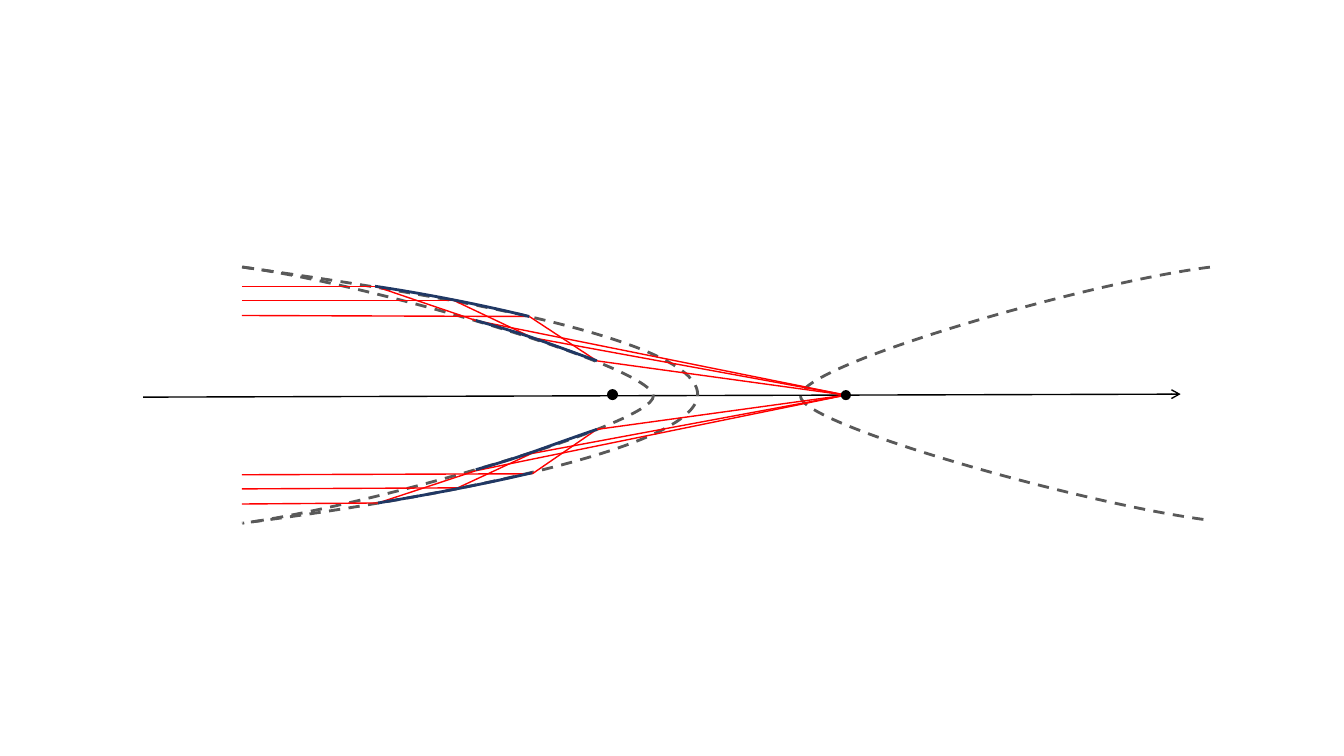
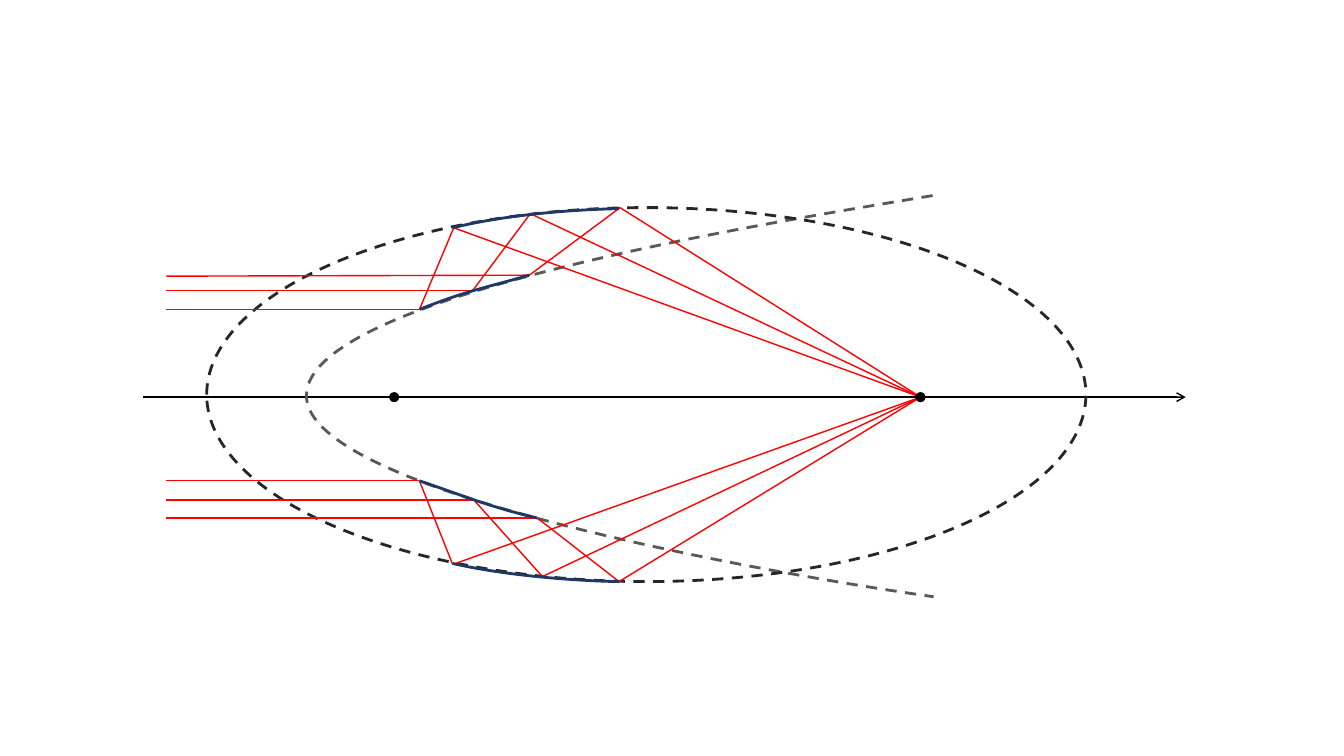
from pptx import Presentation
from pptx.dml.color import RGBColor
from pptx.enum.dml import MSO_LINE
from pptx.enum.shapes import MSO_CONNECTOR, MSO_SHAPE
from pptx.oxml.ns import qn
from pptx.util import Emu, Pt
from lxml.etree import SubElement

PX = 9144
COLORS = {"axis": "000000", "dot": "000000", "conic": "595959",
          "ellipse": "262626", "ray": "FF0000", "mirror": "203864"}
LINES = {
    "axis": {"width": Pt(1)},
    "ray": {"width": Pt(1)},
    "mirror": {"width": Pt(2)},
    "conic": {"width": Pt(2), "dash_style": MSO_LINE.DASH},
    "ellipse": {"width": Pt(2), "dash_style": MSO_LINE.DASH},
}

SLIDES = [
    {
        "axis": [(142, 394), (1171, 391)],
        "ellipses": [],
        "conics": [
            [(241, 265), (335, 279), (691, 326), (692, 391),
             (693, 453), (354, 505), (240, 519)],
            [(240, 265), (366, 281), (648, 364), (648, 393),
             (648, 421), (363, 503), (241, 519)],
            [(1200, 265), (1074, 281), (793, 363), (794, 393),
             (793, 421), (1078, 501), (1199, 516)],
        ],
        "focus": (839, 392),
        "rays": [
            [(240, 284), (372, 284), (472, 318)],
            [(240, 298), (450, 298), (528, 335)],
            [(240, 313), (525, 314), (592, 358)],
            [(240, 471), (528, 470), (592, 426)],
            [(240, 485), (454, 484), (527, 450)],
            [(240, 500), (375, 499), (472, 467)],
        ],
        "mirrors": [
            [(375, 499), (423, 491), (472, 482), (528, 469)],
            [(372, 284), (419, 291), (476, 302), (525, 314)],
            [(472, 466), (525, 451), (531, 447), (592, 426)],
            [(472, 318), (525, 333), (531, 336), (592, 358)],
        ],
        "dots": [(602, 386, 11), (834, 387, 10)],
    },
    {
        "axis": [(142, 394), (1176, 394)],
        "ellipses": [(205, 206, 872, 371)],
        "conics": [
            [(925, 194), (796, 216), (305, 290), (304, 392),
             (302, 489), (769, 570), (926, 592)],
        ],
        "focus": (913, 394),
        "rays": [
            [(165, 274), (525, 273), (615, 206)],
            [(165, 288), (469, 288), (526, 212)],
            [(165, 307), (416, 307), (450, 226)],
            [(165, 477), (416, 477), (449, 560)],
            [(165, 496), (470, 496), (538, 572)],
            [(165, 514), (533, 514), (614, 577)],
        ],
        "mirrors": [
            [(614, 577), (562, 576), (497, 570), (449, 559)],
            [(614, 207), (562, 208), (497, 214), (449, 226)],
            [(525, 273), (480, 286), (464, 288), (416, 307)],
            [(533, 514), (483, 502), (466, 494), (416, 477)],
        ],
        "dots": [(386, 389, 10), (908, 389, 10)],
    },
]


def px(*values):
    return [Emu(v * PX) for v in values]


def style_line(sp, kind):
    sp.line.color.rgb = RGBColor.from_string(COLORS[kind])
    for name, value in LINES[kind].items():
        setattr(sp.line, name, value)


def add_line(s, start, end, kind):
    sp = s.shapes.add_connector(MSO_CONNECTOR.STRAIGHT, *px(*start, *end))
    style_line(sp, kind)
    SubElement(sp._element.spPr, qn("a:effectLst"))
    return sp


def add_axis(s, start, end):
    sp = add_line(s, start, end, "axis")
    SubElement(sp.line._get_or_add_ln(), qn("a:tailEnd"), type="arrow")


def add_curve(s, points, kind):
    start, *rest = [px(*pt) for pt in points]
    builder = s.shapes.build_freeform(*start)
    builder.add_line_segments(rest, close=False)
    sp = builder.convert_to_shape()
    segments = list(sp._element.iter(qn("a:lnTo")))
    for i in range(0, len(segments), 3):
        bezier = SubElement(segments[i].getparent(), qn("a:cubicBezTo"))
        for segment in segments[i:i + 3]:
            bezier.append(segment[0])
            segment.getparent().remove(segment)
    sp.shadow.inherit = False
    sp.fill.background()
    style_line(sp, kind)


def add_oval(s, x, y, w, h):
    sp = s.shapes.add_shape(MSO_SHAPE.OVAL, *px(x, y, w, h))
    sp.shadow.inherit = False
    return sp


def add_ellipse(s, box):
    sp = add_oval(s, *box)
    sp.fill.background()
    style_line(sp, "ellipse")


def add_dot(s, x, y, size):
    sp = add_oval(s, x, y, size, size)
    sp.fill.solid()
    sp.fill.fore_color.rgb = RGBColor.from_string(COLORS["dot"])
    sp.line.fill.background()


def add_diagram(s, d):
    add_axis(s, *d["axis"])
    for points in d["conics"]:
        add_curve(s, points, "conic")
    for box in d["ellipses"]:
        add_ellipse(s, box)
    for ray in d["rays"]:
        stops = ray + [d["focus"]]
        for start, end in zip(stops, stops[1:]):
            add_line(s, start, end, "ray")
    for points in d["mirrors"]:
        add_curve(s, points, "mirror")
    for dot in d["dots"]:
        add_dot(s, *dot)


def main():
    prs = Presentation()
    prs.slide_width, prs.slide_height = px(1333, 750)
    for d in SLIDES:
        add_diagram(prs.slides.add_slide(prs.slide_layouts[6]), d)
    prs.save("out.pptx")


if __name__ == "__main__":
    main()
